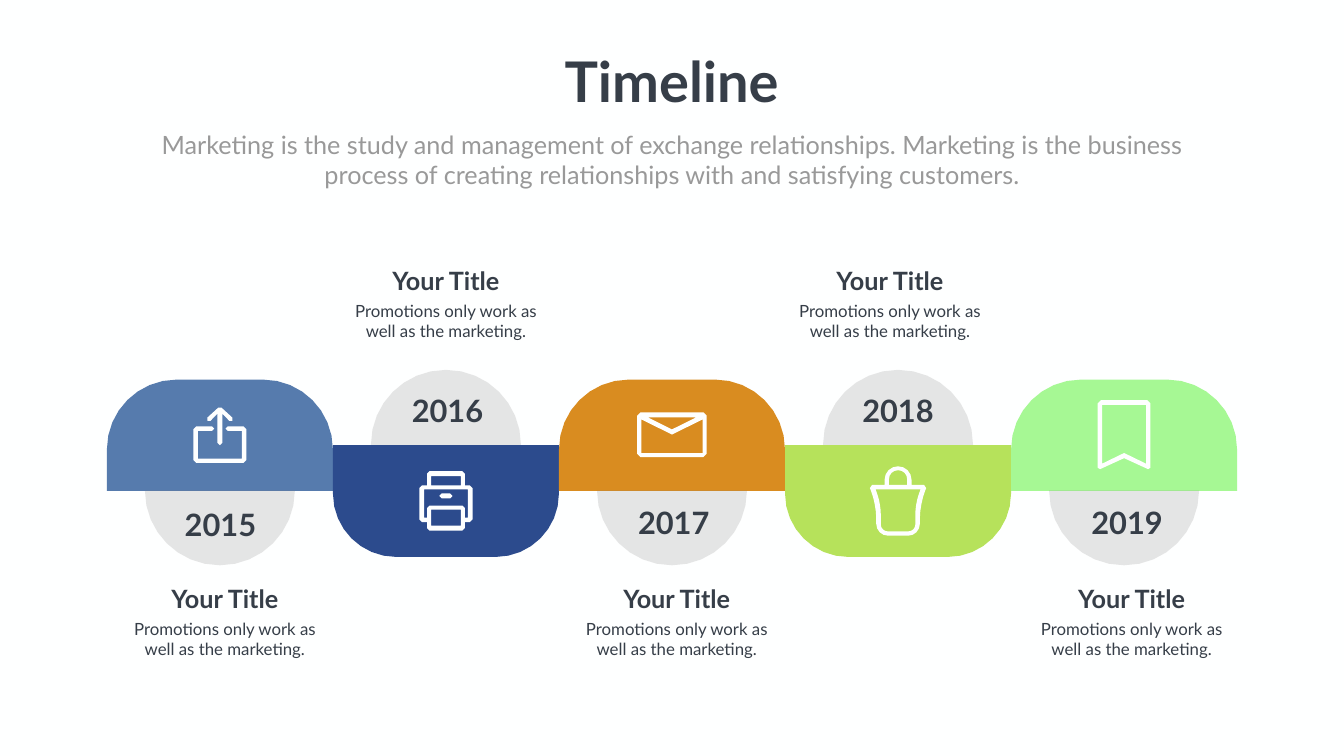
from math import hypot

from lxml.etree import SubElement
from pptx import Presentation
from pptx.dml.color import RGBColor
from pptx.enum.text import MSO_ANCHOR as Anchor, MSO_AUTO_SIZE as AutoSize, PP_ALIGN as Align
from pptx.oxml.ns import qn
from pptx.util import Cm, Pt

COLORS = {
    "paper": "FEFFFF", "ink": "363E48", "muted": "999999", "disc": "808080",
    "steel": "567BAD", "navy": "2C4B8D", "orange": "D98C20",
    "lime": "B6E25B", "mint": "A6F894",
}
FONT = "Lato"
FIRST_CENTER, PITCH = 11.08, 11.39
HALF_TAB = PITCH / 2
RADIUS = 3.78

UPPER_TAB = (19.13, [[(HALF_TAB, 0, 3.53), (HALF_TAB, 5.61)]])
LOWER_TAB = (22.43, [[(HALF_TAB, 0), (HALF_TAB, 5.64, 3.2)]])
UPPER_DISC = (18.64, [[(RADIUS, 0, RADIUS), (RADIUS, RADIUS)]])
LOWER_DISC = (24.71, [[(RADIUS, 0), (RADIUS, RADIUS, RADIUS)]])

SHARE = [
    (21.49, [[(1.11, 1.63), (1.11, 0.23), (0.29, 0.23, 0.11), (0.29, 0, 0.11),
              (1.34, 0, 0.15), (1.34, 1.84, 0.15)]]),
    (20.47, [[(0, 0, 0.1), (0.7, 0.64, 0.1), (0.55, 0.82, 0.1),
              (0.13, 0.38), (0.13, 1.96, 0.12)]]),
]
PRINTER = [
    (23.75, [[(0.95, 0, 0.12), (0.95, 0.71), (1.34, 0.71, 0.14),
              (1.34, 2.57, 0.14), (0.95, 2.57), (0.95, 2.99, 0.12)],
             [(0.75, 0.25), (0.75, 0.71)],
             [(1.1, 0.91), (1.1, 2.34), (0.95, 2.34), (0.95, 1.73, 0.12)],
             [(0.75, 1.93), (0.75, 2.74)]]),
    (24.87, [[(0.33, 0, 0.12), (0.33, 0.25, 0.12)]]),
]
ENVELOPE = [
    (20.78, [[(1.75, 0, 0.17), (1.75, 2.26, 0.17)],
             [(1.23, 0.25), (0, 0.86)],
             [(0, 1.12), (1.54, 0.36), (1.54, 2.06)]]),
]
BAG = [
    (23.5, [[(0.68, 0, 0.68), (0.68, 0.94), (1.48, 0.94, 0.17),
             (1.1, 1.9, 0.7), (1.1, 3.5, 0.6)],
            [(0.46, 0.2, 0.45), (0.46, 0.94)],
            [(1.13, 1.17), (0.87, 1.9, 0.5), (0.87, 3.28, 0.35)]]),
]
BOOKMARK = [
    (20.17, [[(1.33, 0, 0.16), (1.33, 3.53, 0.13), (0, 2.92)],
             [(1.11, 0.23), (1.11, 3.2), (0, 2.66)]]),
]

STAGES = [
    ("2015", "steel", SHARE, 0.25, 0.03, 25.35),
    ("2016", "navy", PRINTER, 0, 0.08, 19.61),
    ("2017", "orange", ENVELOPE, 0.24, 0.09, 25.25),
    ("2018", "lime", BAG, -0.41, 0, 19.61),
    ("2019", "mint", BOOKMARK, 0.38, 0.15, 25.27),
]


def mirrored(half):
    return half + [(-x, *rest) for x, *rest in reversed(half) if x]


def rounded(corners):
    points = []
    for i, (x, y, *radius) in enumerate(corners):
        if not radius:
            points.append((x, y))
            continue
        arms = []
        for neighbor in (corners[i - 1], corners[(i + 1) % len(corners)]):
            dx, dy = neighbor[0] - x, neighbor[1] - y
            reach = radius[0] / hypot(dx, dy)
            arms.append((dx * reach, dy * reach))
        (ax, ay), (bx, by) = arms
        steps = 8 if radius[0] > 1 else 4 if radius[0] > 0.3 else 1
        for step in range(steps + 1):
            t = step / steps
            near = (1 - t) ** 3 + 1.34 * t * (1 - t) ** 2
            far = t ** 3 + 1.34 * (1 - t) * t ** 2
            points.append((x + ax * near + bx * far, y + ay * near + by * far))
    return points


def write(frame, text, size, color="ink", bold=False, wrap=True):
    frame.word_wrap = wrap
    frame.auto_size = AutoSize.SHAPE_TO_FIT_TEXT
    frame.vertical_anchor = Anchor.TOP
    paragraph = frame.paragraphs[0]
    paragraph.alignment = Align.CENTER
    paragraph.line_spacing = 1.0
    run = paragraph.add_run()
    run.text = text
    run.font.name = FONT
    run.font.size = Pt(size)
    run.font.bold = bold
    run.font.color.rgb = RGBColor.from_string(COLORS[color])


class Board:
    def __init__(self, slide):
        self.slide = slide
        background = slide.background.fill
        background.solid()
        background.fore_color.rgb = RGBColor.from_string(COLORS["paper"])

    def title(self, text, left, top, width, height):
        heading = self.slide.shapes.title
        heading.left, heading.top = Cm(left), Cm(top)
        heading.width, heading.height = Cm(width), Cm(height)
        write(heading.text_frame, text, 80, bold=True, wrap=False)

    def text(self, text, center, top, width, height, size, **style):
        box = self.slide.shapes.add_textbox(
            Cm(center - width / 2), Cm(top), Cm(width), Cm(height))
        write(box.text_frame, text, size, **style)

    def outline(self, center, part, color, alpha=None):
        top, halves = part
        contours = [
            [(Cm(center + x), Cm(top + y)) for x, y in rounded(mirrored(half))]
            for half in halves
        ]
        builder = self.slide.shapes.build_freeform(*contours[0][0])
        for number, (start, *others) in enumerate(contours):
            if number:
                builder.move_to(*start)
            builder.add_line_segments(others, close=True)
        shape = builder.convert_to_shape()
        shape.shadow.inherit = False
        shape.line.fill.background()
        shape.fill.solid()
        shape.fill.fore_color.rgb = RGBColor.from_string(COLORS[color])
        if alpha:
            tint = shape.element.spPr.find(qn("a:solidFill"))[0]
            SubElement(tint, qn("a:alpha"), val=str(alpha * 1000))


def main():
    deck = Presentation()
    deck.slide_width, deck.slide_height = Cm(67.72), Cm(38.1)
    board = Board(deck.slides.add_slide(deck.slide_layouts[5]))

    board.title("Timeline", 28.09, 2.21, 11.51, 3.68)
    board.text(
        "Marketing is the study and management of exchange relationships. "
        "Marketing is the business process of creating relationships with "
        "and satisfying customers.",
        33.86, 6.4, 54.1, 3.33, 36, color="muted")

    for i, (year, color, icon, caption_shift, year_shift, year_top) in enumerate(STAGES):
        center = FIRST_CENTER + i * PITCH
        lower = i % 2 == 1
        board.outline(center, LOWER_TAB if lower else UPPER_TAB, color)
        board.outline(center, UPPER_DISC if lower else LOWER_DISC, "disc", alpha=20)
        for part in icon:
            board.outline(center, part, "paper")

        caption_center = center + caption_shift
        caption_top = 13.23 if lower else 29.27
        board.text("Your Title", caption_center, caption_top, 6.63, 1.8, 36, bold=True)
        board.text("Promotions only work as well as the marketing.",
                   caption_center, caption_top + 1.79, 10.21, 2.31, 24)
        board.text(year, center + year_shift, year_top, 6.63, 2.13, 44, bold=True)

    deck.save("out.pptx")


if __name__ == "__main__":
    main()
